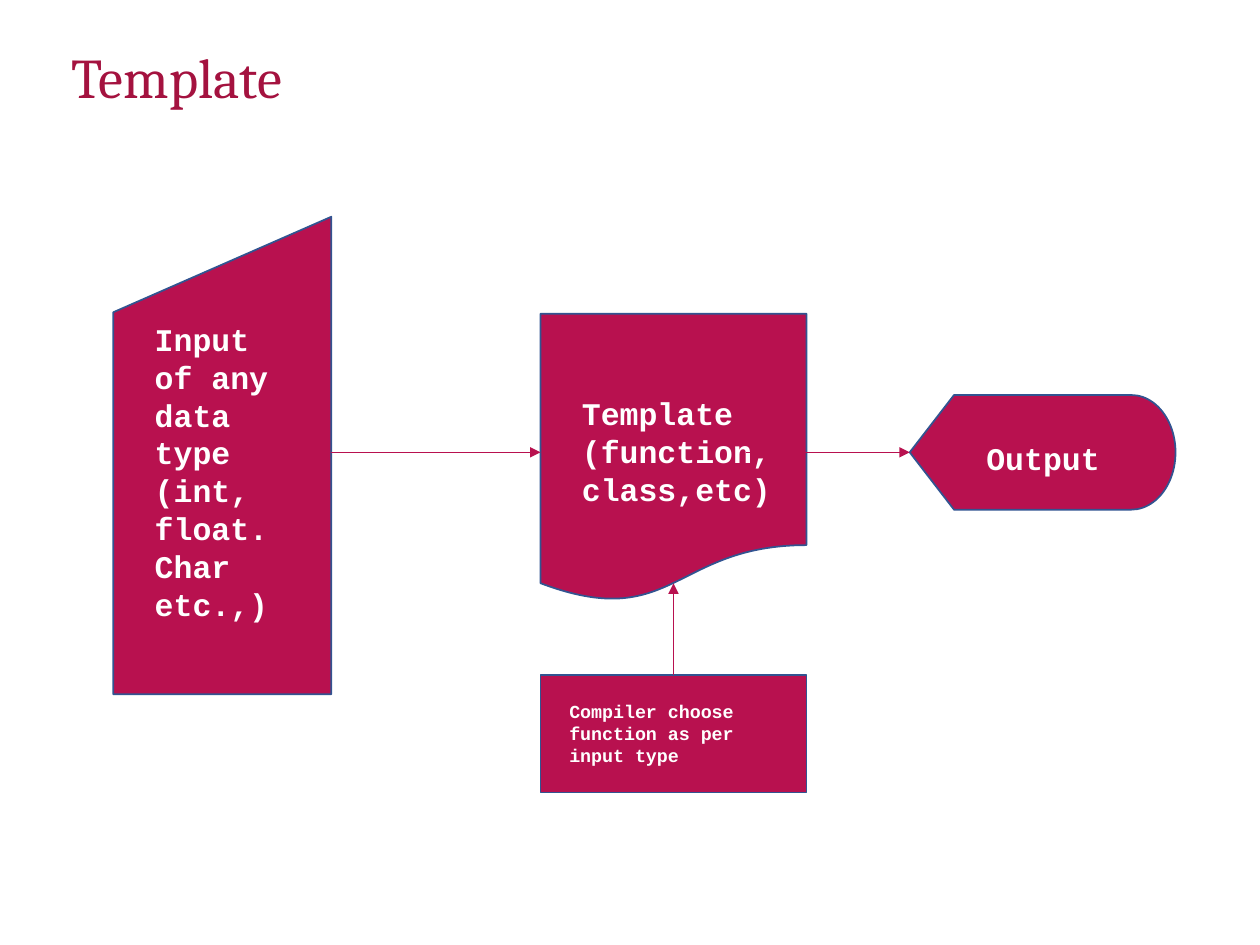
import dataclasses

import pptx
import pptx.dml.color
import pptx.enum.shapes
import pptx.enum.text
import pptx.oxml.ns
import pptx.util
from lxml import etree

Inches = pptx.util.Inches
Pt = pptx.util.Pt
Shape = pptx.enum.shapes.MSO_SHAPE
Anchor = pptx.enum.text.MSO_ANCHOR
qn = pptx.oxml.ns.qn


@dataclasses.dataclass(frozen=True)
class Theme:
    title_color: str = "A4123F"
    fill: str = "B8114F"
    outline: str = "325491"
    label_color: str = "FFFFFF"
    title_font: str = "Cambria"
    label_font: str = "Courier New"
    title_size: float = 32
    label_size: float = 18
    note_size: float = 10.5
    outline_width: float = 1
    arrow_width: float = 0.5


THEME = Theme()


def rgb(value):
    return pptx.dml.color.RGBColor.from_string(value)


def add_text(page, box, text, font, size, color, bold=False,
             anchor=Anchor.TOP, spacing=None):
    frame = page.shapes.add_textbox(*map(Inches, box)).text_frame
    frame.word_wrap = True
    frame.vertical_anchor = anchor
    para = frame.paragraphs[0]
    para.line_spacing = spacing
    span = para.add_run()
    span.text = text
    span.font.name = font
    span.font.size = Pt(size)
    span.font.bold = bold
    span.font.color.rgb = rgb(color)


def add_step(page, kind, box, label, label_box, size=THEME.label_size):
    """Draw a flowchart step; label_box is relative to the step's corner."""
    step = page.shapes.add_shape(kind, *map(Inches, box))
    step.shadow.inherit = False
    step.fill.solid()
    step.fill.fore_color.rgb = rgb(THEME.fill)
    step.line.color.rgb = rgb(THEME.outline)
    step.line.width = Pt(THEME.outline_width)
    left, top, width, height = label_box
    add_text(page, (box[0] + left, box[1] + top, width, height), label,
             THEME.label_font, size, THEME.label_color, bold=True)


def add_arrow(page, start, end):
    arrow = page.shapes.add_connector(
        pptx.enum.shapes.MSO_CONNECTOR.STRAIGHT, *map(Inches, start + end))
    arrow.line.color.rgb = rgb(THEME.fill)
    arrow.line.width = Pt(THEME.arrow_width)
    etree.SubElement(arrow.line._get_or_add_ln(), qn("a:tailEnd"), type="triangle")
    etree.SubElement(arrow._element.spPr, qn("a:effectLst"))


def add_title(page, box):
    add_text(page, box, "Template", THEME.title_font, THEME.title_size,
             THEME.title_color, anchor=Anchor.MIDDLE, spacing=0.9)


def add_flow(page, box):
    """Lay out the flowchart inside box, with all steps on one middle axis."""
    left, top, width, height = box
    axis = top + 1.87
    input_width, step_width, output_height = 1.73, 2.11, 0.91
    template_left = left + 3.39
    output_left = left + width - step_width
    template_top = top + 0.77
    note_height = 0.93
    note_top = top + height - note_height
    template_center = template_left + step_width / 2

    # Steps
    add_step(page, Shape.FLOWCHART_DOCUMENT,
             (template_left, template_top, step_width, 2.29),
             "Template (function, class,etc)", (0.23, 0.59, 2, 1.01))
    add_step(page, Shape.FLOWCHART_MANUAL_INPUT,
             (left, top, input_width, 3.79),
             "Input of any data type (int, float. Char etc.,)",
             (0.23, 0.77, 1.27, 2.52))
    add_step(page, Shape.FLOWCHART_DISPLAY,
             (output_left, axis - output_height / 2, step_width, output_height),
             "Output", (0.51, 0.3, 1.6, 0.4))
    add_step(page, Shape.FLOWCHART_PROCESS,
             (template_left, note_top, step_width, note_height),
             "Compiler choose function as per input type",
             (0.13, 0.15, 1.9, 0.63), THEME.note_size)

    # Arrows
    add_arrow(page, (left + input_width, axis), (template_left, axis))
    add_arrow(page, (output_left - 1.3, axis), (output_left, axis))
    add_arrow(page, (template_center, note_top), (template_center, note_top - 0.73))


deck = pptx.Presentation()
deck.slide_width = Inches(10)
deck.slide_height = Inches(7.5)
page = deck.slides.add_slide(deck.slide_layouts[6])
add_title(page, (0.47, 0.38, 9.19, 0.51))
add_flow(page, (0.9, 1.72, 8.43, 4.57))
deck.save("out.pptx")
